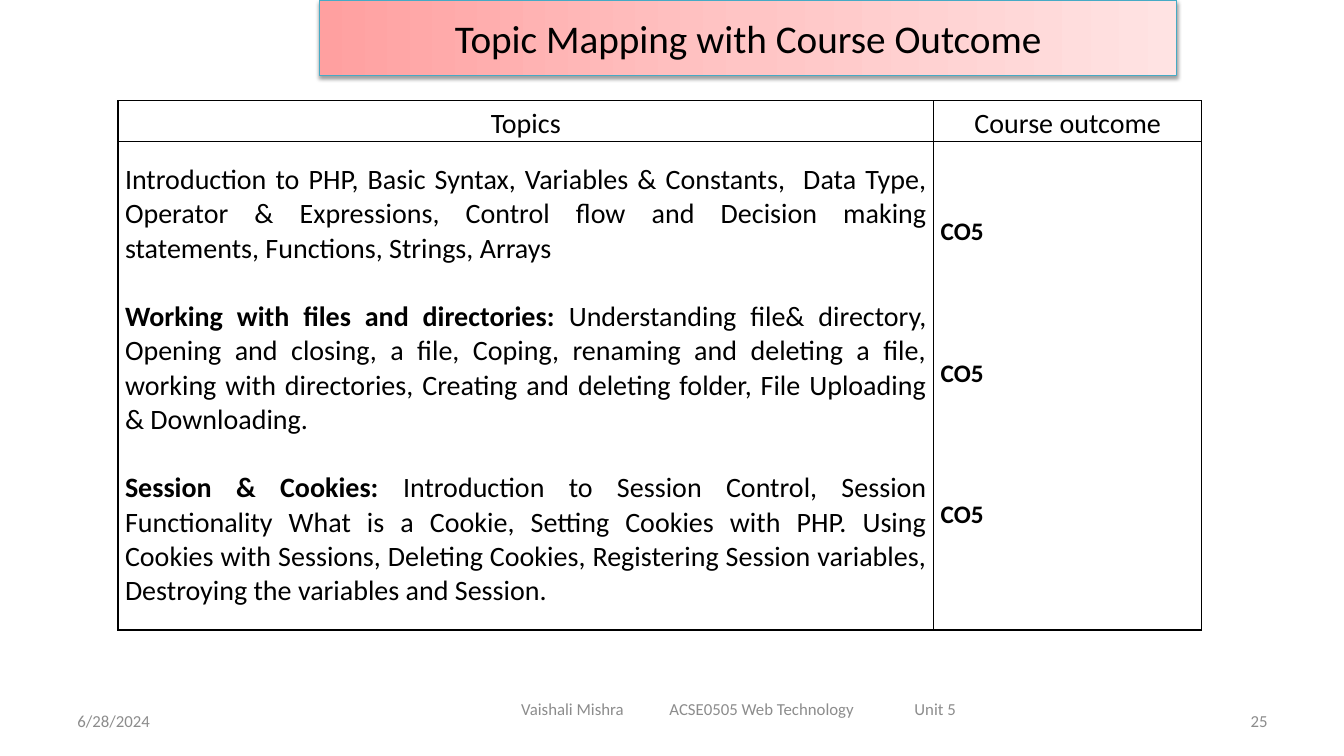
from pptx import Presentation
from pptx.dml.color import RGBColor
from pptx.enum.text import MSO_ANCHOR, MSO_AUTO_SIZE, PP_ALIGN
from pptx.oxml import parse_xml
from pptx.oxml.ns import nsdecls
from pptx.util import Inches, Pt

BLACK = RGBColor(0x00, 0x00, 0x00)
GRAY = RGBColor(0x8C, 0x8C, 0x8C)
TEAL = RGBColor(0x46, 0xAA, 0xC5)
BANNER_STOPS = [
    (0, RGBColor(0xFF, 0xA0, 0xA0)),
    (50, RGBColor(0xFF, 0xC5, 0xC5)),
    (100, RGBColor(0xFF, 0xE3, 0xE3)),
]

FOOTER = ["Vaishali Mishra", "ACSE0505 Web Technology", "Unit 5"]
HEADINGS = ["Topics", "Course outcome"]
TOPICS = [
    ("", "Introduction to PHP, Basic Syntax, Variables & Constants,  Data Type, "
         "Operator & Expressions, Control flow and Decision making statements, "
         "Functions, Strings, Arrays"),
    ("Working with files and directories: ",
     "Understanding file& directory, Opening and closing, a file, Coping, "
     "renaming and deleting a file, working with directories, Creating and "
     "deleting folder, File Uploading & Downloading."),
    ("Session & Cookies: ",
     "Introduction to Session Control, Session Functionality What is a Cookie, "
     "Setting Cookies with PHP. Using Cookies with Sessions, Deleting Cookies, "
     "Registering Session variables, Destroying the variables and Session."),
]
OUTCOMES = [("CO5", "")] * len(TOPICS)


class MappingSlide:
    font = "Calibri"

    def __init__(self, deck):
        self.page = deck.slides.add_slide(deck.slide_layouts[5])

    def add_span(self, para, text, size, color=BLACK, bold=False):
        span = para.add_run()
        span.text = text
        span.font.name = self.font
        span.font.size = Pt(size)
        span.font.color.rgb = color
        span.font.bold = bold

    def title(self, text, left, top, width, height):
        banner = self.page.shapes.title
        banner.left, banner.top = Inches(left), Inches(top)
        banner.width, banner.height = Inches(width), Inches(height)
        stops = "".join(
            f'<a:gs pos="{pos * 1000}"><a:srgbClr val="{color}"/></a:gs>'
            for pos, color in BANNER_STOPS)
        properties = banner.element.spPr
        properties.append(parse_xml(
            f'<a:gradFill {nsdecls("a")} rotWithShape="1"><a:gsLst>{stops}</a:gsLst>'
            '<a:lin ang="0" scaled="0"/></a:gradFill>'))
        banner.line.color.rgb = TEAL
        banner.line.width = Pt(0.75)
        properties.append(parse_xml(
            f'<a:effectLst {nsdecls("a")}><a:outerShdw blurRad="{Pt(3.1)}" '
            f'dist="{Pt(1.6)}" dir="5400000" rotWithShape="0"><a:srgbClr val="{BLACK}">'
            '<a:alpha val="38000"/></a:srgbClr></a:outerShdw></a:effectLst>'))
        frame = banner.text_frame
        frame.word_wrap = True
        frame.auto_size = MSO_AUTO_SIZE.NONE
        frame.vertical_anchor = MSO_ANCHOR.MIDDLE
        para = frame.paragraphs[0]
        para.alignment = PP_ALIGN.CENTER
        self.add_span(para, text, 28)

    def label(self, text, left, top, width, align=PP_ALIGN.LEFT, inset=0.1, tabs=()):
        box = self.page.shapes.add_textbox(
            Inches(left), Inches(top), Inches(width), Inches(0.4))
        frame = box.text_frame
        frame.word_wrap = True
        frame.vertical_anchor = MSO_ANCHOR.MIDDLE
        frame.margin_left = Inches(inset)
        para = frame.paragraphs[0]
        para.alignment = align
        if tabs:
            stops = "".join(f'<a:tab pos="{Inches(tab)}" algn="l"/>' for tab in tabs)
            para._p.get_or_add_pPr().append(
                parse_xml(f'<a:tabLst {nsdecls("a")}>{stops}</a:tabLst>'))
        self.add_span(para, text, 12, GRAY)

    def table(self, left, top, widths, heights):
        grid = self.page.shapes.add_table(
            len(heights), len(widths), Inches(left), Inches(top),
            Inches(sum(widths)), Inches(sum(heights))).table
        grid.first_row = grid.horz_banding = False
        for column, width in zip(grid.columns, widths):
            column.width = Inches(width)
        for row, height in zip(grid.rows, heights):
            row.height = Inches(height)
        for cell in grid.iter_cells():
            cell.margin_left = cell.margin_right = Inches(0.07)
            cell.margin_top = cell.margin_bottom = 0
            for side in ("lnL", "lnR", "lnT", "lnB"):
                cell._tc.get_or_add_tcPr().append(parse_xml(
                    f'<a:{side} {nsdecls("a")} w="{Pt(1)}"><a:solidFill>'
                    f'<a:srgbClr val="{BLACK}"/></a:solidFill></a:{side}>'))
            cell.fill.background()
        return grid

    def fill_cell(self, cell, entries, size, align, gap=0, spacing=1.0,
                  anchor=MSO_ANCHOR.MIDDLE):
        cell.vertical_anchor = anchor
        frame = cell.text_frame
        for index, (lead, body) in enumerate(entries):
            para = frame.add_paragraph() if index else frame.paragraphs[0]
            para.alignment = align
            para.line_spacing = spacing
            if index:
                para.space_before = Pt(gap)
            if lead:
                self.add_span(para, lead, size, bold=True)
            if body:
                self.add_span(para, body, size)


def main():
    deck = Presentation()
    deck.slide_width, deck.slide_height = Inches(13.33), Inches(7.5)
    slide = MappingSlide(deck)
    slide.title("Topic Mapping with Course Outcome", 3.17, 0, 8.5, 0.75)
    slide.label("6/28/2024", 0.67, 6.95, 3.11)
    slide.label("\t".join(FOOTER), 4.75, 6.83, 5.17, inset=0.42, tabs=(1.47, 3.9))
    slide.label("25", 9.56, 6.95, 3.11, PP_ALIGN.RIGHT)

    grid = slide.table(1.17, 1, (8.09, 2.66), (0.4, 4.85))
    for column, heading in enumerate(HEADINGS):
        slide.fill_cell(grid.cell(0, column), [("", heading)], 20,
                        PP_ALIGN.CENTER, spacing=1.15)
    slide.fill_cell(grid.cell(1, 0), TOPICS, 20, PP_ALIGN.JUSTIFY, gap=24.4)
    outcome_cell = grid.cell(1, 1)
    outcome_cell.margin_top = Inches(0.7)
    slide.fill_cell(outcome_cell, OUTCOMES, 18, PP_ALIGN.LEFT, gap=76,
                    spacing=1.15, anchor=MSO_ANCHOR.TOP)
    deck.save("out.pptx")


if __name__ == "__main__":
    main()
